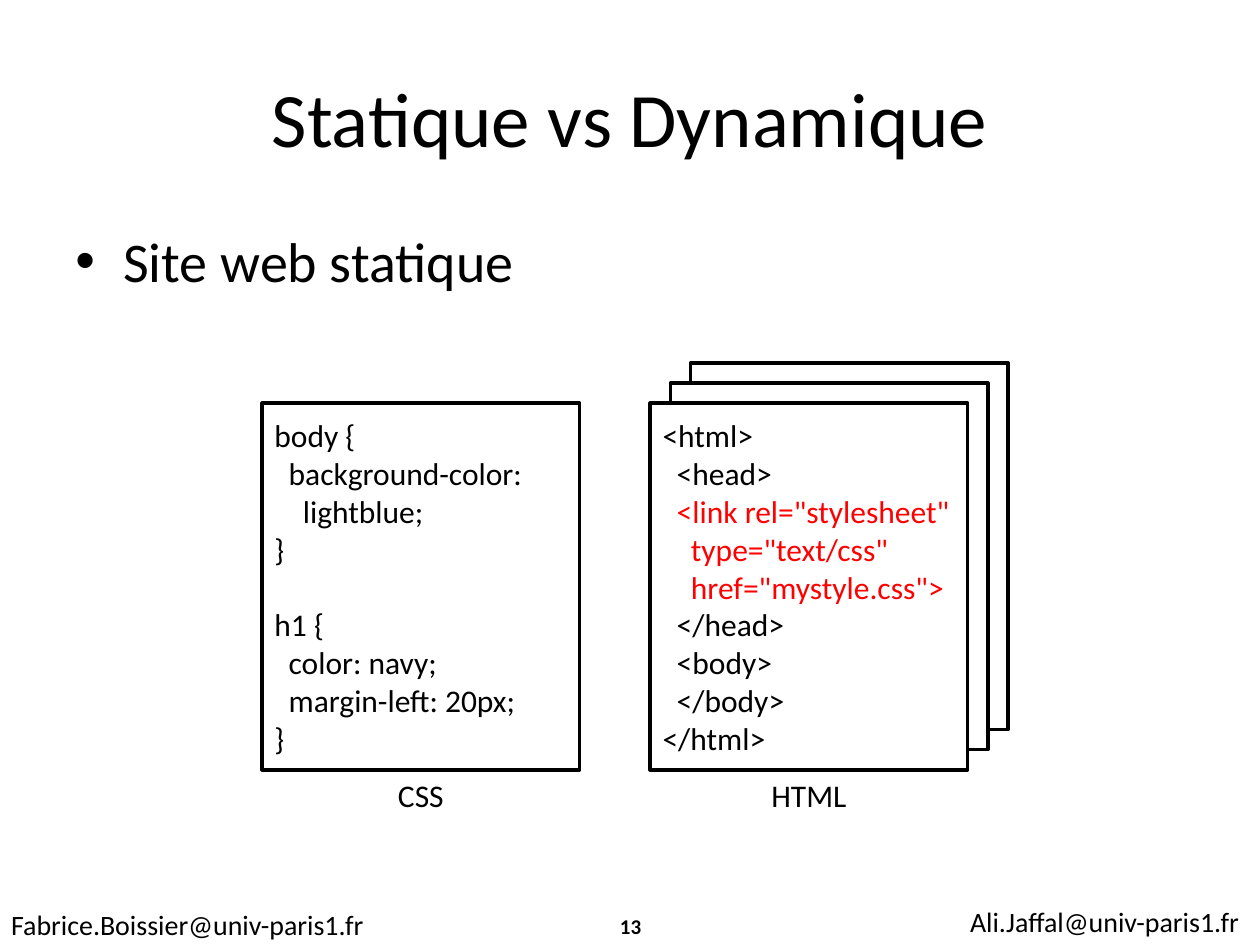
from lxml import etree
from pptx import Presentation
from pptx.dml.color import RGBColor
from pptx.enum.shapes import MSO_SHAPE
from pptx.enum.text import MSO_ANCHOR, PP_ALIGN
from pptx.oxml.ns import qn
from pptx.util import Inches, Pt

BLACK = RGBColor(0, 0, 0)
WHITE = RGBColor(255, 255, 255)
RED = RGBColor(255, 0, 0)
RECT = MSO_SHAPE.RECTANGLE
MIDDLE = MSO_ANCHOR.MIDDLE
LEFT, CENTER = PP_ALIGN.LEFT, PP_ALIGN.CENTER

deck = Presentation()
deck.slide_width, deck.slide_height = Inches(10), Inches(7.5)
slide = deck.slides.add_slide(deck.slide_layouts[5])
shapes = slide.shapes


def write(para, text, size, color=BLACK, align=LEFT, bold=False):
    """Add a run per line of text, with line breaks between them."""
    para.alignment = align
    para.font.size = Pt(size)
    for i, line in enumerate(text.split("\n")):
        if i:
            para.add_line_break()
        if line:
            run = para.add_run()
            run.text = line
            run.font.name, run.font.size = "Calibri", Pt(size)
            run.font.bold = bold
            run.font.color.rgb = color


def label(x, y, w, h, text, size, align=LEFT, wrap=True, bold=False):
    box = shapes.add_textbox(Inches(x), Inches(y), Inches(w), Inches(h))
    box.text_frame.word_wrap = wrap
    write(box.text_frame.paragraphs[0], text, size, align=align, bold=bold)
    return box


# Title
title = shapes.title
title.left, title.top = Inches(0.5), Inches(0.3)
title.width, title.height = Inches(9), Inches(1.25)
title.text_frame.vertical_anchor = MIDDLE
write(title.text_frame.paragraphs[0], "Statique vs Dynamique", 44, align=CENTER)

# Bullet
body = label(0.5, 1.75, 9, 4.95, "Site web statique", 32)
props = body.text_frame.paragraphs[0]._p.get_or_add_pPr()
props.set("marL", str(Inches(0.38)))
props.set("indent", str(-Inches(0.38)))
font = etree.Element(qn("a:buFont"), typeface="Arial")
mark = etree.Element(qn("a:buChar"), char="•")
props.insert(0, font)
props.insert(1, mark)

# Code pages: caption, left edge, sheets behind, lines with their colour
PAGE_W, PAGE_H, PAGE_Y, STEP = 2.52, 2.91, 3.2, 0.16
css = [
    ("body {", BLACK),
    ("  background-color:\n    lightblue;", BLACK),
    ("}", BLACK),
    ("", BLACK),
    ("h1 {", BLACK),
    ("  color: navy;", BLACK),
    ("  margin-left: 20px;", BLACK),
    ("}", BLACK),
]
html = [
    ("<html>", BLACK),
    ("  <head>", BLACK),
    ('  <link rel="stylesheet"\n    type="text/css"\n    href="mystyle.css">', RED),
    ("  </head>", BLACK),
    ("  <body>", BLACK),
    ("  </body>", BLACK),
    ("</html>", BLACK),
]
for name, x, behind, code in [("HTML", 5.16, 2, html), ("CSS", 2.08, 0, css)]:
    for n in range(behind, -1, -1):
        page = shapes.add_shape(RECT, Inches(x + n * STEP), Inches(PAGE_Y - n * STEP),
                                Inches(PAGE_W), Inches(PAGE_H))
        page.shadow.inherit = False
        # Only a page that covers another one needs a fill
        if n == behind:
            page.fill.background()
        else:
            page.fill.solid()
            page.fill.fore_color.rgb = WHITE
        page.line.color.rgb = BLACK
        page.line.width = Pt(2)
    # The front page carries the code
    frame = page.text_frame
    frame.word_wrap = True
    frame.vertical_anchor = MIDDLE
    for i, (text, color) in enumerate(code):
        para = frame.add_paragraph() if i else frame.paragraphs[0]
        write(para, text, 18, color)
    label(x, PAGE_Y + PAGE_H, PAGE_W, 0.4, name, 18, CENTER)

# Footer
label(-0.01, 7.15, 3.04, 0.37, "Fabrice.Boissier@univ-paris1.fr", 16, wrap=False)
label(7.6, 7.13, 2.42, 0.37, "Ali.Jaffal@univ-paris1.fr", 16, wrap=False)
number = label(3.84, 7.15, 2.33, 0.4, "13", 12, CENTER, bold=True)
number.text_frame.vertical_anchor = MIDDLE

deck.save("out.pptx")
